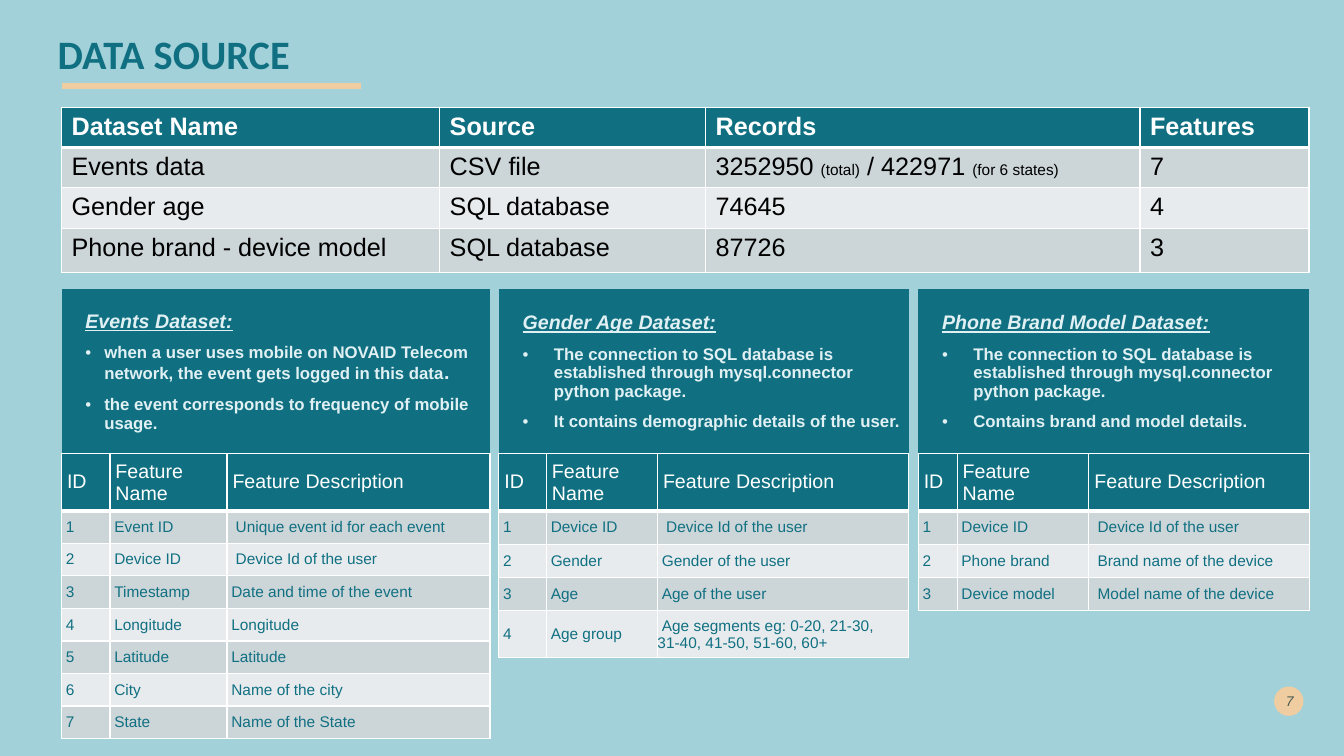
from pptx import Presentation
from pptx.dml.color import RGBColor
from pptx.enum import shapes, text
from pptx.oxml import xmlchemy as xml
from pptx.util import Cm, Pt

TEAL = RGBColor(0x10, 0x70, 0x82)
SKY = RGBColor(0xA2, 0xD1, 0xDA)
SAND = RGBColor(0xF0, 0xCD, 0xA1)
GREY = RGBColor(0xCC, 0xD5, 0xD8)
PALE = RGBColor(0xE7, 0xEB, 0xED)
ICE = RGBColor(0xE0, 0xF0, 0xF3)
INK = RGBColor(0x00, 0x29, 0x2E)
WHITE = RGBColor(0xFF, 0xFF, 0xFF)
BLACK = RGBColor(0, 0, 0)

TITLE = "DATA SOURCE"
PAGE = "7"
SOURCES = [
    ["Dataset Name", "Source", "Records", "Features"],
    ["Events data", "CSV file",
     [("3252950 ", 18), ("(total)", 11), (" / ", 18), ("422971 ", 18), ("(for 6 states)", 11)], "7"],
    ["Gender age", "SQL database", "74645", "4"],
    ["Phone brand - device model", "SQL database", "87726", "3"],
]
LINK = ("The connection to SQL database is established through "
        "mysql.connector python package.")
HEADS = ["ID", "Feature\nName", "Feature Description"]
SETS = [
    dict(name="Events Dataset:", left=1.55, cols=[1.22, 2.95, 6.63],
         rows=[1.36] + [0.82] * 7, hang=0.48, deep=2,
         notes=[[("when a user uses mobile on NOVAID Telecom network, "
                  "the event gets logged in this data", 12), (".", 14)],
                "the event corresponds to frequency of mobile usage."],
         feats=[("Event ID", "Unique event id for each event"),
                ("Device ID", "Device Id of the user"),
                ("Timestamp", "Date and time of the event"),
                ("Longitude", "Longitude"),
                ("Latitude", "Latitude"),
                ("City", "Name of the city"),
                ("State", "Name of the State")]),
    dict(name="Gender Age Dataset:", left=12.57, cols=[1.2, 2.8, 6.33],
         rows=[1.36] + [0.84] * 3 + [1.14], hang=0.79, deep=1,
         notes=[LINK, "It contains demographic details of the user."],
         feats=[("Device ID", "Device Id of the user"),
                ("Gender", "Gender of the user"),
                ("Age", "Age of the user"),
                ("Age group", "Age segments eg: 0-20, 21-30, 31-40, 41-50, 51-60, 60+")]),
    dict(name="Phone Brand Model Dataset:", left=23.14, cols=[0.98, 3.32, 5.56],
         rows=[1.36] + [0.84] * 3, hang=0.79, deep=3,
         notes=[LINK, "Contains brand and model details."],
         feats=[("Device ID", "Device Id of the user"),
                ("Phone brand", "Brand name of the device"),
                ("Device model", "Model name of the device")]),
]


def child(node, tag, **attrs):
    item = node.makeelement(xml.qn(tag), {k: str(v) for k, v in attrs.items()})
    node.append(item)
    return item


def write(frame, words, size=18, color=BLACK, bold=False, italic=False, line=False,
          font="Arial", align=None, before=0, left=0, first=0, bullet=None, more=False):
    runs = [(words, size)] if isinstance(words, str) else words
    para = frame.add_paragraph() if more else frame.paragraphs[0]
    para.alignment = align
    para.space_before = Pt(before)
    props = para._p.get_or_add_pPr()
    props.set("marL", str(Cm(left)))
    props.set("indent", str(Cm(first)))
    if bullet:
        child(props, "a:buFont", typeface="Arial")
        child(props, "a:buChar", char=bullet)
    for words, size in runs:
        run = para.add_run()
        run.text = words
        face = run.font
        face.name, face.size, face.bold = font, Pt(size), bold
        face.italic, face.underline = italic, line
        face.color.rgb = color
    return para


def edge(cell, **widths):
    props = cell._tc.get_or_add_tcPr()
    for side in "LRTB":
        wide = widths.get(side, 1)
        line = child(props, "a:ln" + side, w=Pt(wide))
        if wide:
            child(child(line, "a:solidFill"), "a:srgbClr", val=WHITE)
        else:
            child(line, "a:noFill")


def grid(slide, left, top, cols, rows):
    table = slide.shapes.add_table(len(rows), len(cols), Cm(left), Cm(top),
                                   Cm(sum(cols)), Cm(sum(rows))).table
    for col, wide in zip(table.columns, cols):
        col.width = Cm(wide)
    for row, high in zip(table.rows, rows):
        row.height = Cm(high)
    return table


def paint(cell, row):
    edge(cell, B=1 if row else 3, T=3 if row == 1 else 1)
    cell.fill.solid()
    cell.fill.fore_color.rgb = (PALE if row % 2 == 0 else GREY) if row else TEAL


def sources(slide):
    table = grid(slide, 1.55, 2.7, [9.53, 6.7, 10.95, 4.26], [0.95, 0.95, 0.95, 1.12])
    for r, row in enumerate(SOURCES):
        for c, words in enumerate(row):
            cell = table.cell(r, c)
            paint(cell, r)
            write(cell.text_frame, words, color=BLACK if r else WHITE, bold=r == 0)


def panel(slide, data):
    cell = grid(slide, data["left"], 7.29, [sum(data["cols"])], [4.14]).cell(0, 0)
    edge(cell, L=0, R=0, T=0, B=0)
    cell.fill.solid()
    cell.fill.fore_color.rgb = TEAL
    cell.margin_left = cell.margin_right = cell.margin_top = cell.margin_bottom = 0
    cell.vertical_anchor = text.MSO_ANCHOR.MIDDLE
    frame = cell.text_frame
    write(frame, data["name"], size=14, color=ICE, bold=True, italic=True, line=True,
          before=7.8, left=0.6)
    for note in data["notes"]:
        write(frame, note, size=12, color=ICE, bold=True, before=7.8, bullet="•",
              left=0.6 + data["hang"], first=-data["hang"], more=True)


def features(slide, data):
    table = grid(slide, data["left"], 11.43, data["cols"], data["rows"])
    body = [(str(n), *feat) for n, feat in enumerate(data["feats"], 1)]
    for r, row in enumerate([HEADS] + body):
        for c, words in enumerate(row):
            cell = table.cell(r, c)
            paint(cell, r)
            cell.margin_left = 0
            cell.vertical_anchor = text.MSO_ANCHOR.MIDDLE
            deep = c == 2 and 0 < r <= data["deep"]
            for n, part in enumerate(words.split("\n")):
                write(cell.text_frame, part, size=11 if r else 14, color=TEAL if r else WHITE,
                      first=0.22 if deep else 0.11 if r else 0.14, more=n > 0)


def number(slide):
    dot = slide.shapes.add_shape(shapes.MSO_SHAPE.OVAL, Cm(32.11), Cm(17.3), Cm(0.74), Cm(0.74))
    dot.shadow.inherit = False
    dot.fill.solid()
    dot.fill.fore_color.rgb = SAND
    dot.line.fill.background()
    box = slide.shapes.add_textbox(Cm(31.85), Cm(17.15), Cm(1), Cm(1.02))
    frame = box.text_frame
    frame.word_wrap = True
    frame.vertical_anchor = text.MSO_ANCHOR.MIDDLE
    para = write(frame, PAGE, size=10, color=INK, italic=True, align=text.PP_ALIGN.RIGHT)
    for tone in para._p.iter(xml.qn("a:srgbClr")):
        child(tone, "a:alpha", val=70000)


def heading(slide):
    title = slide.shapes.title
    title.left, title.top, title.width, title.height = Cm(1.2), Cm(0.76), Cm(10.16), Cm(1.3)
    frame = title.text_frame
    frame.vertical_anchor = text.MSO_ANCHOR.MIDDLE
    para = write(frame, TITLE, size=28.8, color=TEAL, bold=True, font="Calibri",
                 align=text.PP_ALIGN.LEFT)
    para.line_spacing = 0.9
    rule = slide.shapes.add_connector(shapes.MSO_CONNECTOR.STRAIGHT,
                                      Cm(1.55), Cm(2.17), Cm(9.09), Cm(2.17))
    rule.line.color.rgb = SAND
    rule.line.width = Pt(4.32)
    child(rule._element.spPr, "a:effectLst")


def main():
    deck = Presentation()
    deck.slide_width, deck.slide_height = Cm(33.87), Cm(19.05)
    slide = deck.slides.add_slide(deck.slide_layouts[5])
    slide.background.fill.solid()
    slide.background.fill.fore_color.rgb = SKY
    number(slide)
    heading(slide)
    sources(slide)
    for data in SETS:
        panel(slide, data)
        features(slide, data)
    deck.save("out.pptx")


if __name__ == "__main__":
    main()
